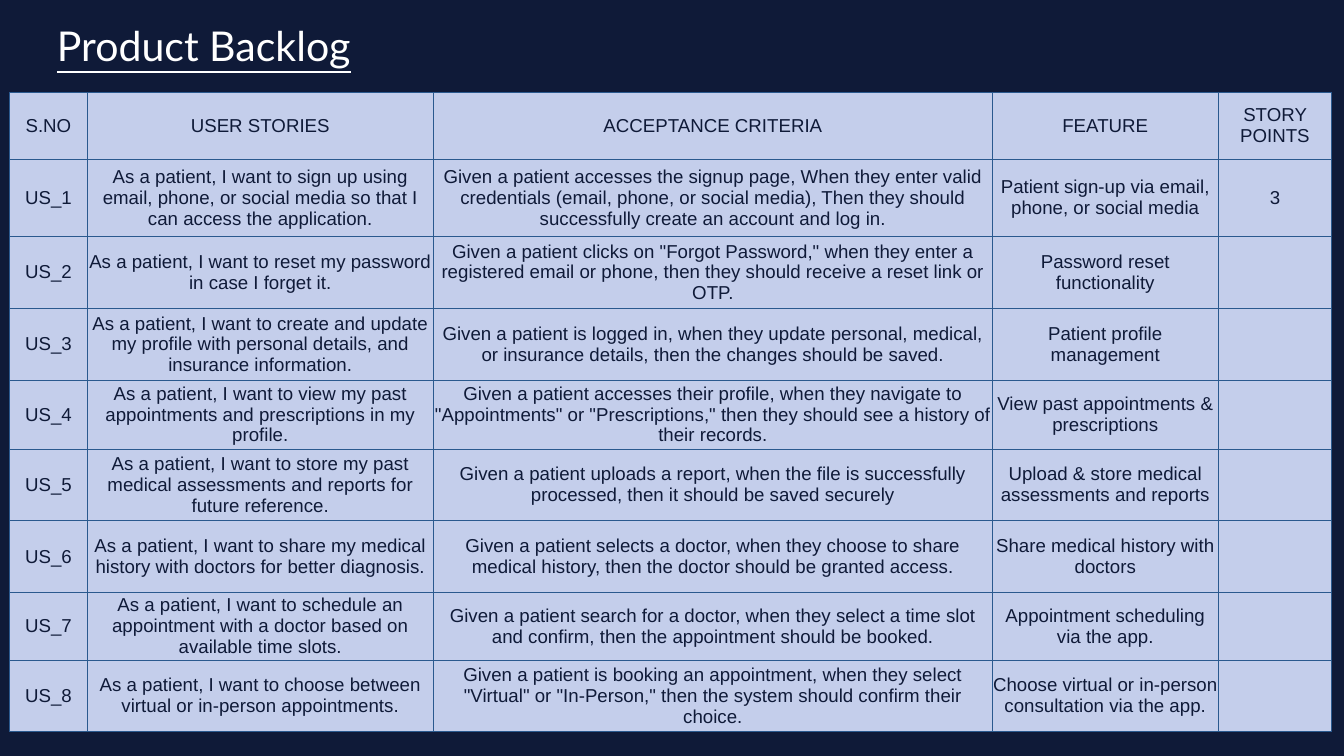
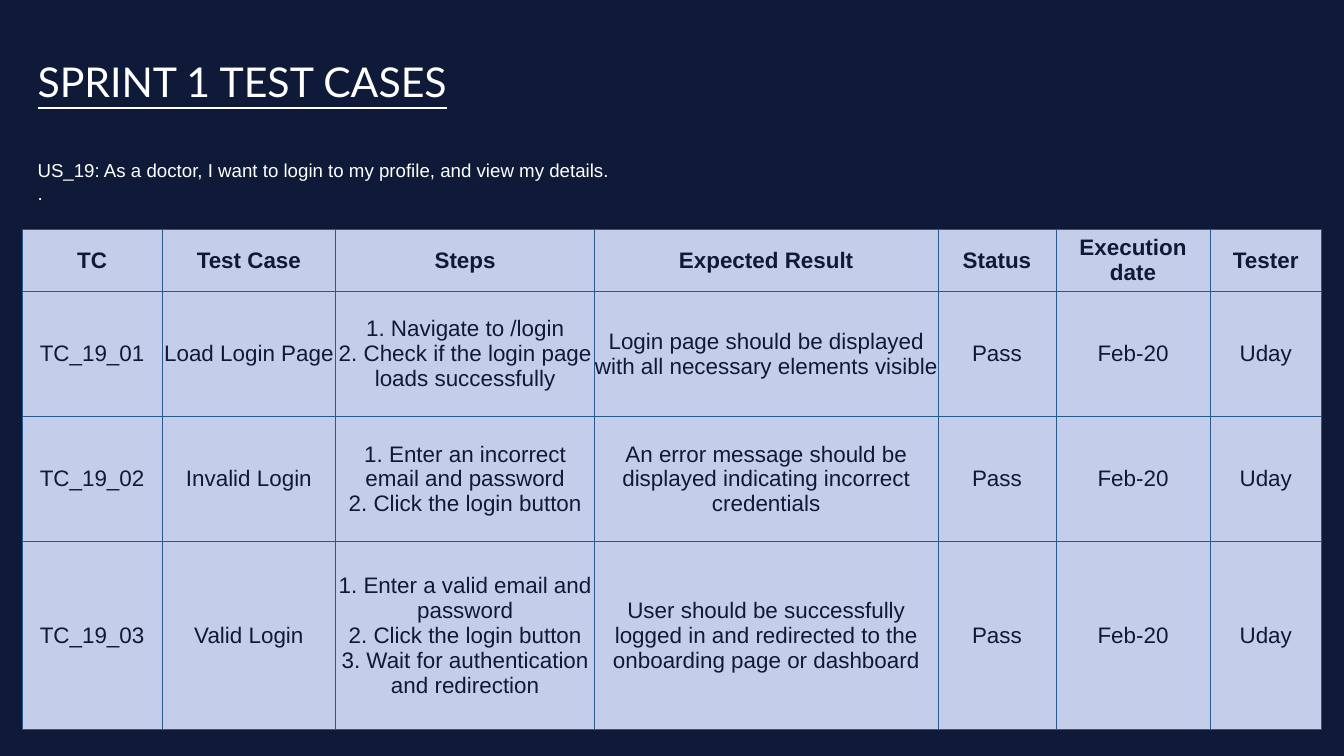
from dataclasses import dataclass

from lxml.etree import SubElement
from pptx import Presentation
from pptx.dml.color import RGBColor
from pptx.enum.text import MSO_ANCHOR as Anchor, PP_ALIGN as Align
from pptx.oxml.ns import qn
from pptx.util import Inches, Pt

# Shared look
NAVY, WHITE, PALE, EDGE = "0F1A38", "FFFFFF", "C4CEEB", "2A598E"
WIDTH, HEIGHT = Inches(20), Inches(11.25)
TITLE = dict(name="Lato", size=Pt(44), underline=True)
BODY = dict(name="Arial", size=Pt(20))
TITLE_H = 14.31


@dataclass
class Label:
    """Text box; lengths are percentages of the slide's size."""
    x: float
    y: float
    w: float
    h: float
    lines: list[str]
    font: dict
    align: Align = Align.LEFT
    anchor: Anchor = Anchor.TOP


@dataclass
class Grid:
    """Table; columns and rows are percentages of the slide's size."""
    x: float
    y: float
    cols: list[float]
    rows: list[float]
    cells: list[tuple[str, ...]]
    size: int
    bold_head: bool = False


def across(share: float) -> int:
    return int(WIDTH * share / 100)


def down(share: float) -> int:
    return int(HEIGHT * share / 100)


def rgb(color: str) -> RGBColor:
    return RGBColor.from_string(color)


def write(p, text: str, font: dict, color: str, align: Align) -> None:
    p.text = text
    p.alignment = align
    for r in p.runs:
        for key, value in font.items():
            setattr(r.font, key, value)
        r.font.color.rgb = rgb(color)


def add_label(s, label: Label) -> None:
    sp = s.shapes.add_textbox(across(label.x), down(label.y),
                              across(label.w), down(label.h))
    tf = sp.text_frame
    tf.word_wrap = True
    tf.vertical_anchor = label.anchor
    for i, line in enumerate(label.lines):
        p = tf.add_paragraph() if i else tf.paragraphs[0]
        write(p, line, label.font, WHITE, label.align)


def add_borders(cell) -> None:
    tc_pr = cell._tc.get_or_add_tcPr()
    for i, side in enumerate(("lnL", "lnR", "lnT", "lnB")):
        ln = SubElement(tc_pr, qn(f"a:{side}"), w=str(Pt(0.75)))
        SubElement(SubElement(ln, qn("a:solidFill")), qn("a:srgbClr"), val=EDGE)
        tc_pr.insert(i, ln)  # borders come before the fill


def add_grid(s, grid: Grid) -> None:
    frame = s.shapes.add_table(len(grid.rows), len(grid.cols),
                               across(grid.x), down(grid.y),
                               across(sum(grid.cols)), down(sum(grid.rows)))
    table = frame.table
    table.first_row = table.horz_banding = False
    for column, share in zip(table.columns, grid.cols):
        column.width = across(share)
    for row, share in zip(table.rows, grid.rows):
        row.height = down(share)
    for i, texts in enumerate(grid.cells):
        font = BODY | dict(size=Pt(grid.size), bold=grid.bold_head and i == 0)
        for j, text in enumerate(texts):
            cell = table.cell(i, j)
            for side in ("left", "right", "top", "bottom"):
                setattr(cell, f"margin_{side}", 0)
            cell.vertical_anchor = Anchor.MIDDLE
            cell.fill.solid()
            cell.fill.fore_color.rgb = rgb(PALE)
            add_borders(cell)
            write(cell.text_frame.paragraphs[0], text, font, NAVY, Align.CENTER)


# Backlog: story, acceptance criteria, feature, points
STORIES = [
    ("sign up using email, phone, or social media so that I can access the application.",
     "accesses the signup page, When they enter valid credentials (email, phone, or "
     "social media), Then they should successfully create an account and log in.",
     "Patient sign-up via email, phone, or social media", "3"),
    ("reset my password in case I forget it.",
     'clicks on "Forgot Password," when they enter a registered email or phone, '
     "then they should receive a reset link or OTP.",
     "Password reset functionality", ""),
    ("create and update my profile with personal details, and insurance information.",
     "is logged in, when they update personal, medical, or insurance details, "
     "then the changes should be saved.",
     "Patient profile management", ""),
    ("view my past appointments and prescriptions in my profile.",
     'accesses their profile, when they navigate to "Appointments" or '
     '"Prescriptions," then they should see a history of their records.',
     "View past appointments & prescriptions", ""),
    ("store my past medical assessments and reports for future reference.",
     "uploads a report, when the file is successfully processed, "
     "then it should be saved securely",
     "Upload & store medical assessments and reports", ""),
    ("share my medical history with doctors for better diagnosis.",
     "selects a doctor, when they choose to share medical history, "
     "then the doctor should be granted access.",
     "Share medical history with doctors", ""),
    ("schedule an appointment with a doctor based on available time slots.",
     "search for a doctor, when they select a time slot and confirm, "
     "then the appointment should be booked.",
     "Appointment scheduling via the app.", ""),
    ("choose between virtual or in-person appointments.",
     'is booking an appointment, when they select "Virtual" or "In-Person," '
     "then the system should confirm their choice.",
     "Choose virtual or in-person consultation via the app.", ""),
]
BACKLOG = [("S.NO", "USER STORIES", "ACCEPTANCE CRITERIA", "FEATURE", "STORY POINTS")] + [
    (f"US_{n}", f"As a patient, I want to {want}", f"Given a patient {given}", feature, points)
    for n, (want, given, feature, points) in enumerate(STORIES, 1)]

# Test cases: name, steps, expected result
CASES = [
    ("Load Login Page",
     ["Navigate to /login", "Check if the login page loads successfully"],
     "Login page should be displayed with all necessary elements visible"),
    ("Invalid Login",
     ["Enter an incorrect email and password", "Click the login button"],
     "An error message should be displayed indicating incorrect credentials"),
    ("Valid Login",
     ["Enter a valid email and password", "Click the login button",
      "Wait for authentication and redirection"],
     "User should be successfully logged in and redirected to the onboarding page "
     "or dashboard"),
]


def numbered(steps: list[str]) -> str:
    return "\n".join(f"{n}. {step}" for n, step in enumerate(steps, 1))


TESTS = [("TC", "Test Case", "Steps", "Expected Result", "Status",
          "Execution date", "Tester")] + [
    (f"TC_19_{n:02}", name, numbered(steps), result, "Pass", "Feb-20", "Uday")
    for n, (name, steps, result) in enumerate(CASES, 1)]

SLIDES = [
    [Label(0, -1.16, 30.35, TITLE_H, ["Product Backlog"], TITLE,
           Align.CENTER, Anchor.MIDDLE),
     Grid(0.72, 12.18, [5.77, 25.75, 41.6, 16.8, 8.45],
          [8.89, 10.22, 9.51, 9.51, 9.07, 9.51, 9.51, 8.2, 9.51], BACKLOG, 20)],
    [Label(2.3, 3.56, 65.6, TITLE_H, ["SPRINT 1 TEST CASES"], TITLE,
           anchor=Anchor.MIDDLE),
     Grid(1.65, 30.31, [10.4, 12.93, 19.25, 25.55, 8.8, 11.45, 8.3],
          [8.27 * n for n in (1, 2, 2, 3)], TESTS, 24, bold_head=True),
     Label(2.3, 20.62, 83.9, 6.84,
           ["US_19: As a doctor, I want to login to my profile, and view my details.",
            "."], BODY)],
]


def main() -> None:
    prs = Presentation()
    prs.slide_width, prs.slide_height = WIDTH, HEIGHT
    for parts in SLIDES:
        s = prs.slides.add_slide(prs.slide_layouts[6])
        s.background.fill.solid()
        s.background.fill.fore_color.rgb = rgb(NAVY)
        for part in parts:
            draw = add_grid if isinstance(part, Grid) else add_label
            draw(s, part)
    prs.save("out.pptx")


if __name__ == "__main__":
    main()
